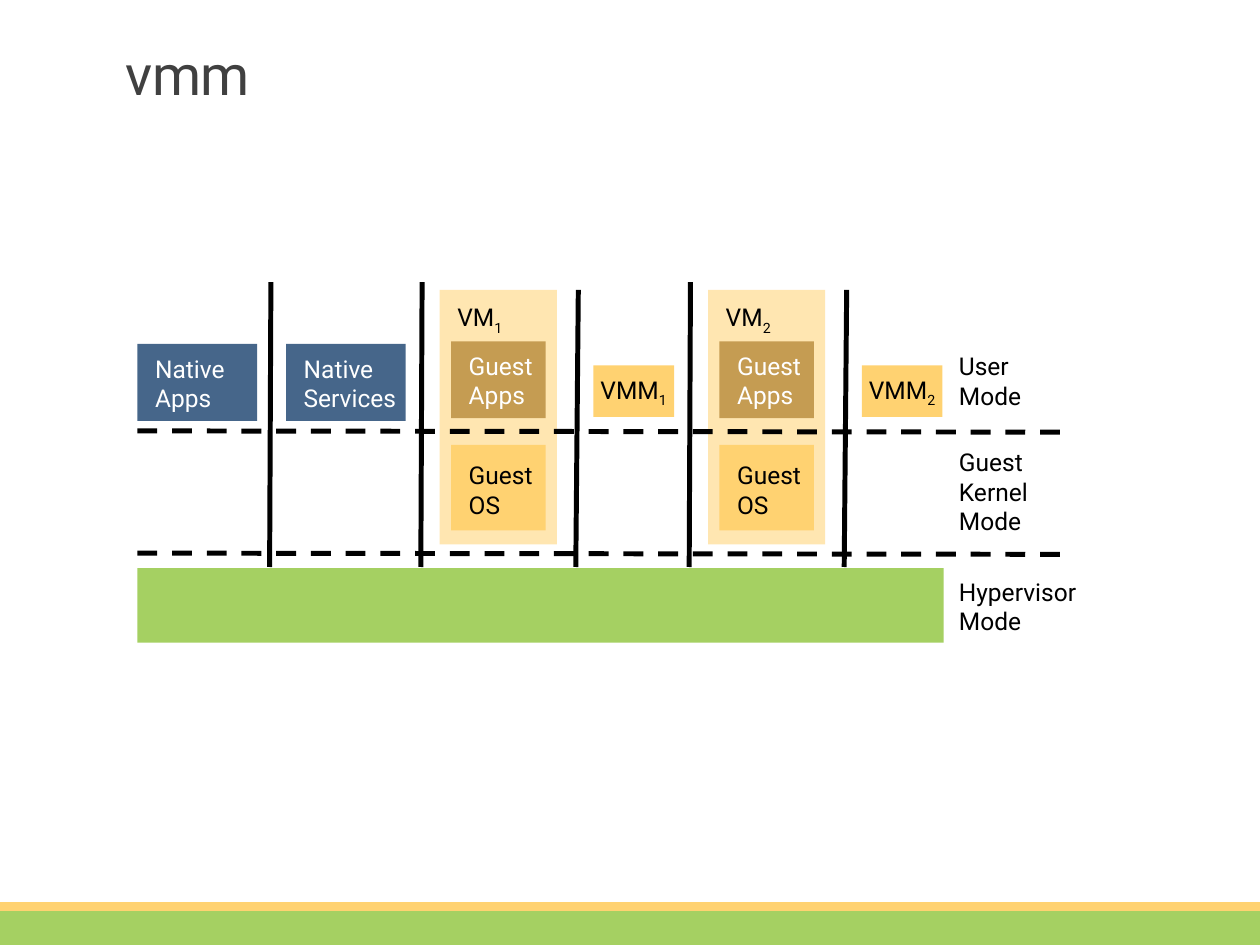
"""Build a slide showing virtual machines and their monitors by processor mode."""
from dataclasses import dataclass

from lxml import etree
from pptx import Presentation
from pptx.dml.color import RGBColor
from pptx.enum.dml import MSO_LINE
from pptx.enum.shapes import MSO_CONNECTOR, MSO_SHAPE
from pptx.enum.text import MSO_ANCHOR, PP_ALIGN
from pptx.oxml.ns import qn
from pptx.util import Inches, Pt

RECTANGLE = MSO_SHAPE.RECTANGLE
STRAIGHT = MSO_CONNECTOR.STRAIGHT
DASH = MSO_LINE.DASH
TOP, MIDDLE, BOTTOM = MSO_ANCHOR.TOP, MSO_ANCHOR.MIDDLE, MSO_ANCHOR.BOTTOM
LEFT, CENTER = PP_ALIGN.LEFT, PP_ALIGN.CENTER

FONT = "Roboto"
BLACK, WHITE, GRAY = "000000", "FFFFFF", "404040"
GREEN, YELLOW, PALE_YELLOW = "A5D062", "FFD271", "FFE6B1"
BROWN, BLUE = "C59C52", "46668A"
BLOCK_INSETS = (0.14, 0.1, 0.14, 0.09)
LABEL_INSETS = (0.12, 0.08, 0.02, 0.07)
TITLE_INSETS = (0.1, 0.05, 0.1, 0.05)

DIAGRAM_LEFT, DASH_RIGHT = 1.09, 8.5
LABEL_LEFT, LABEL_WIDTH = 7.49, 1.15
DIVIDER_BOTTOM = 4.5
VM_LEFT, VM_PITCH = 3.49, 2.13


@dataclass(frozen=True)
class Block:
    """A filled rectangle with optional text, measured in inches."""
    left: float
    top: float
    width: float
    height: float
    fill: str
    text: str = ""
    subscript: str = ""
    color: str = BLACK
    anchor: MSO_ANCHOR = MIDDLE
    align: PP_ALIGN = LEFT


@dataclass(frozen=True)
class ModeLabel:
    """The name of a processor mode beside its row."""
    top: float
    height: float
    text: str


NATIVE_BLOCKS = [
    Block(DIAGRAM_LEFT, 2.73, 0.95, 0.61, BLUE, "Native\nApps", color=WHITE),
    Block(2.27, 2.73, 0.95, 0.61, BLUE, "Native\nServices", color=WHITE),
]
MODE_LABELS = [
    ModeLabel(2.71, 0.6, "User\nMode"),
    ModeLabel(3.47, 0.82, "Guest\nKernel\nMode"),
    ModeLabel(4.5, 0.52, "Hypervisor\nMode"),
]
FOOTER_BANDS = [
    Block(0, 7.21, 10, 0.29, GREEN),
    Block(0, 7.16, 10, 0.07, YELLOW),
]
HYPERVISOR = Block(DIAGRAM_LEFT, 4.51, 6.4, 0.59, GREEN)


def rgb(value: str) -> RGBColor:
    """Turn a hex string into a colour."""
    return RGBColor.from_string(value)


def write_text(shape, text: str, *, subscript: str = "", size: float = 14,
               color: str = BLACK, align: PP_ALIGN = LEFT,
               anchor: MSO_ANCHOR = TOP, insets: tuple = BLOCK_INSETS,
               wrap: bool = False, line_spacing: float | None = None,
               tracking: float | None = None) -> None:
    """Write one paragraph per line, with an optional closing subscript."""
    frame = shape.text_frame
    frame.word_wrap = wrap
    frame.vertical_anchor = anchor
    (frame.margin_left, frame.margin_top,
     frame.margin_right, frame.margin_bottom) = map(Inches, insets)
    frame.text = text
    if subscript:
        lowered = frame.paragraphs[-1].add_run()
        lowered.text = subscript
        lowered.font._element.set("baseline", "-25000")
    for paragraph in frame.paragraphs:
        paragraph.alignment = align
        if line_spacing:
            paragraph.line_spacing = line_spacing
        for run in paragraph.runs:
            run.font.name = FONT
            run.font.size = Pt(size)
            run.font.color.rgb = rgb(color)
            if tracking is not None:
                run.font._element.set("spc", str(round(tracking * 100)))


def add_block(slide, block: Block) -> None:
    """Draw a block and its text."""
    shape = slide.shapes.add_shape(
        RECTANGLE, Inches(block.left), Inches(block.top),
        Inches(block.width), Inches(block.height))
    shape.shadow.inherit = False
    shape.fill.solid()
    shape.fill.fore_color.rgb = rgb(block.fill)
    shape.line.fill.background()
    if block.text:
        write_text(shape, block.text, subscript=block.subscript,
                   color=block.color, anchor=block.anchor, align=block.align)


def add_text(slide, left: float, top: float, width: float, height: float,
             text: str, **text_format) -> None:
    """Add a text box with formatted text."""
    box = slide.shapes.add_textbox(
        Inches(left), Inches(top), Inches(width), Inches(height))
    write_text(box, text, **text_format)


def add_line(slide, start: tuple[float, float], end: tuple[float, float],
             dashed: bool = False) -> None:
    """Draw a solid or dashed black line."""
    connector = slide.shapes.add_connector(
        STRAIGHT, *map(Inches, start), *map(Inches, end))
    connector.line.color.rgb = rgb(BLACK)
    connector.line.width = Pt(2.83)
    if dashed:
        connector.line.dash_style = DASH
    etree.SubElement(connector._element.spPr, qn("a:effectLst"))


def add_divider(slide, top_x: float, top: float, lean: float = 0.01) -> None:
    """Draw a column divider that leans slightly to the left."""
    add_line(slide, (top_x, top), (top_x - lean, DIVIDER_BOTTOM))


def add_mode_boundary(slide, y: float) -> None:
    """Draw the dashed boundary between two modes."""
    add_line(slide, (DIAGRAM_LEFT, y), (DASH_RIGHT, y + 0.01), dashed=True)


def add_virtual_machine(slide, number: int) -> None:
    """Draw a virtual machine, its monitor and their dividers."""
    left = VM_LEFT + (number - 1) * VM_PITCH
    index = str(number)
    inner = left + 0.09
    for block in (
        Block(left, 2.3, 0.93, 2.02, PALE_YELLOW, "VM", index, anchor=TOP),
        Block(inner, 3.53, 0.75, 0.68, YELLOW, "Guest\nOS", anchor=BOTTOM),
        Block(inner, 2.71, 0.75, 0.61, BROWN, "Guest\nApps", color=WHITE),
        Block(left + 1.22, 2.9, 0.64, 0.41, YELLOW, "VMM", index, align=CENTER),
    ):
        add_block(slide, block)
    add_divider(slide, left - 0.14, 2.24)
    add_divider(slide, left + 1.1, 2.3, lean=0.02)


def main() -> None:
    """Build and save the slide."""
    presentation = Presentation()
    presentation.slide_width = Inches(10)
    presentation.slide_height = Inches(7.5)
    slide = presentation.slides.add_slide(presentation.slide_layouts[6])

    for band in FOOTER_BANDS:
        add_block(slide, band)
    add_text(slide, 0.9, 0.35, 6.22, 0.55, "vmm", size=32, color=GRAY,
             anchor=MIDDLE, insets=TITLE_INSETS, wrap=True,
             line_spacing=0.85, tracking=-0.5)

    for number in (1, 2):
        add_virtual_machine(slide, number)
    for block in NATIVE_BLOCKS:
        add_block(slide, block)
    add_divider(slide, 2.15, 2.24)
    for label in MODE_LABELS:
        add_text(slide, LABEL_LEFT, label.top, LABEL_WIDTH, label.height,
                 label.text, insets=LABEL_INSETS)
    add_block(slide, HYPERVISOR)
    for y in (3.42, 4.39):
        add_mode_boundary(slide, y)

    presentation.save("out.pptx")


if __name__ == "__main__":
    main()
